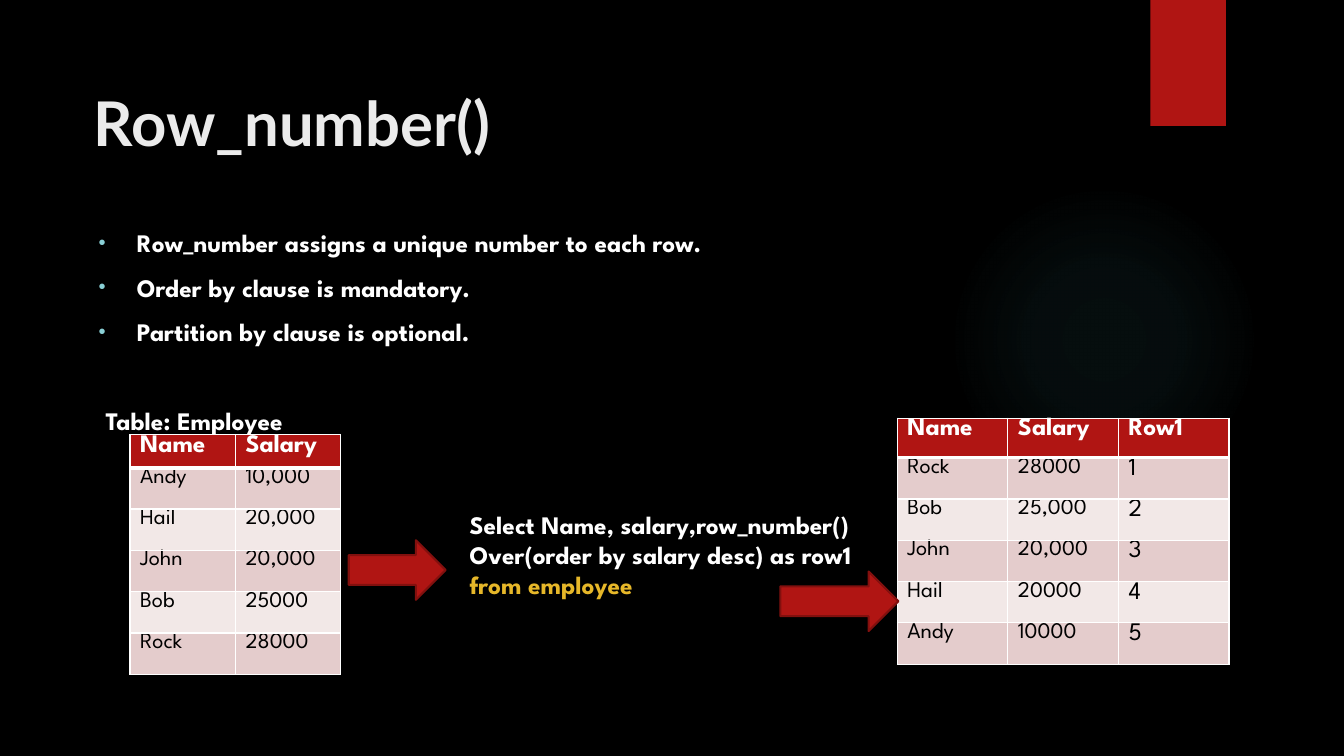
from dataclasses import dataclass

import pptx
import pptx.dml.color
import pptx.enum.shapes
import pptx.enum.text
import pptx.oxml
import pptx.oxml.ns
import pptx.util
from pptx.dml.color import RGBColor
from pptx.util import Inches, Pt

BLACK = RGBColor(0x00, 0x00, 0x00)
WHITE = RGBColor(0xFF, 0xFF, 0xFF)
PALE = RGBColor(0xEB, 0xEB, 0xEB)
RED = RGBColor(0xB0, 0x15, 0x13)
DARK = RGBColor(0x82, 0x10, 0x0E)
GOLD = RGBColor(0xE6, 0xB7, 0x29)
TEAL = RGBColor(0x50, 0xB9, 0xC1)
AQUA = RGBColor(0x8A, 0xD0, 0xD6)
BANDS = (RGBColor(0xE4, 0xCC, 0xCC), RGBColor(0xF2, 0xE8, 0xE7))

HEAD_FONT = "Lato"
BODY_FONT = "League Spartan"
SHAPE = pptx.enum.shapes.MSO_SHAPE
NS = pptx.oxml.ns.nsdecls("a")


@dataclass
class Box:
    left: float
    top: float
    width: float
    height: float

    def emus(self) -> tuple:
        return tuple(Inches(n) for n in (self.left, self.top, self.width, self.height))


@dataclass
class Grid:
    box: Box
    head: float
    rows: list[tuple[str, ...]]


ROW = 0.41
GRIDS = [
    Grid(Box(1.29, 4.31, 2.09, 2.38), 0.33, [
        ("Name", "Salary"),
        ("Andy", "10,000"),
        ("Hail", "20,000"),
        ("John", "20,000"),
        ("Bob", "25000"),
        ("Rock", "28000"),
    ]),
    Grid(Box(8.9, 4.15, 3.29, 2.43), 0.39, [
        ("Name", "Salary", "Row1"),
        ("Rock", "28000", "1"),
        ("Bob", "25,000", "2"),
        ("John", "20,000", "3"),
        ("Hail", "20000", "4"),
        ("Andy", "10000", "5"),
    ]),
]
ARROWS = [Box(3.46, 5.36, 0.96, 0.59), Box(7.74, 5.67, 1.17, 0.59)]
POINTS = [
    "Row_number assigns a unique number to each row.",
    "Order by clause is mandatory.",
    "Partition by clause is optional.",
]


def style(para, size: float, color: RGBColor, bold: bool = True, face: str = BODY_FONT) -> None:
    for run in para.runs:
        run.font.name = face
        run.font.size = Pt(size)
        run.font.bold = bold
        run.font.color.rgb = color


def add_solid(slide, kind, box: Box, edge: RGBColor | None = None):
    shape = slide.shapes.add_shape(kind, *box.emus())
    shape.shadow.inherit = False
    shape.fill.solid()
    shape.fill.fore_color.rgb = RED
    if edge is None:
        shape.line.fill.background()
    else:
        shape.line.color.rgb = edge
        shape.line.width = Pt(1.5)
    return shape


def add_glow(slide) -> None:
    glow = add_solid(slide, SHAPE.OVAL, Box(9.41, 1.83, 3.08, 3.08))
    stops = "".join(
        f'<a:gs pos="{pos * 1000}"><a:srgbClr val="{TEAL}">'
        f'<a:alpha val="{alpha * 1000}"/></a:srgbClr></a:gs>'
        for pos, alpha in ((0, 7), (36, 6), (69, 0), (100, 0))
    )
    fade = pptx.oxml.parse_xml(
        f'<a:gradFill {NS} rotWithShape="1"><a:gsLst>{stops}</a:gsLst><a:path path="circle">'
        '<a:fillToRect l="50000" t="50000" r="50000" b="50000"/></a:path></a:gradFill>'
    )
    props = glow.fill._xPr
    props.replace(props.find(pptx.oxml.ns.qn("a:solidFill")), fade)


def add_text(slide, box: Box, lines: list[str]):
    frame = slide.shapes.add_textbox(*box.emus()).text_frame
    frame.word_wrap = True
    frame.text = "\n".join(lines)
    for para in frame.paragraphs:
        style(para, 18, WHITE)
    return frame


def add_bullet(para) -> None:
    props = para._p.get_or_add_pPr()
    props.set("marL", str(Inches(0.38)))
    props.set("indent", str(Inches(-0.38)))
    for tag in (
        f'<a:buClr {NS}><a:srgbClr val="{AQUA}"/></a:buClr>',
        f'<a:buSzPct {NS} val="80000"/>',
        f'<a:buFont {NS} typeface="Arial"/>',
        f'<a:buChar {NS} char="•"/>',
    ):
        props.append(pptx.oxml.parse_xml(tag))


def add_edges(cell, base: float) -> None:
    """Rule the cell in white, with its bottom line base points wide."""
    props = cell._tc.get_or_add_tcPr()
    for spot, (side, width) in enumerate((("L", 1), ("R", 1), ("T", 1), ("B", base))):
        props.insert(spot, pptx.oxml.parse_xml(
            f'<a:ln{side} {NS} w="{Pt(width)}"><a:solidFill>'
            f'<a:srgbClr val="{WHITE}"/></a:solidFill></a:ln{side}>'
        ))


def add_grid(slide, grid: Grid) -> None:
    count = len(grid.rows[0])
    table = slide.shapes.add_table(len(grid.rows), count, *grid.box.emus()).table
    for col in table.columns:
        col.width = Inches(grid.box.width / count)
    for r, words in enumerate(grid.rows):
        top = r == 0
        table.rows[r].height = Inches(grid.head if top else ROW)
        for c, word in enumerate(words):
            cell = table.cell(r, c)
            cell.margin_top = cell.margin_bottom = 0
            cell.text = word
            size = 18 if top or c == 2 else 16
            style(cell.text_frame.paragraphs[0], size, WHITE if top else BLACK, top)
            cell.fill.solid()
            cell.fill.fore_color.rgb = RED if top else BANDS[(r - 1) % 2]
            add_edges(cell, 3 if top else 1)


def main() -> None:
    deck = pptx.Presentation()
    deck.slide_width, deck.slide_height = Inches(13.33), Inches(7.5)
    slide = deck.slides.add_slide(deck.slide_layouts[5])
    slide.background.fill.solid()
    slide.background.fill.fore_color.rgb = BLACK

    add_glow(slide)
    add_solid(slide, SHAPE.RECTANGLE, Box(11.41, 0, 0.75, 1.25))

    title = slide.shapes.title
    title.left, title.top, title.width, title.height = Box(0.83, 0.79, 10.91, 1.25).emus()
    title.text_frame.text = "Row_number()"
    title.text_frame.vertical_anchor = pptx.enum.text.MSO_ANCHOR.TOP
    para = title.text_frame.paragraphs[0]
    para.alignment = pptx.enum.text.PP_ALIGN.LEFT
    style(para, 44, PALE, face=HEAD_FONT)

    body = add_text(slide, Box(0.88, 2.21, 10.64, 4.7), POINTS + ["Table: Employee"])
    for para in body.paragraphs:
        para.space_before = Pt(10)
    for para in body.paragraphs[:-1]:
        add_bullet(para)
    label = body.paragraphs[-1]
    label.space_before = Pt(42)
    label._p.get_or_add_pPr().set("marL", str(Inches(0.07)))

    for grid in GRIDS:
        add_grid(slide, grid)
    query = add_text(slide, Box(4.56, 5, 4.14, 1.31), [
        "Select Name, salary,row_number() Over(order by salary desc) as row1",
        "from employee",
    ])
    style(query.paragraphs[1], 18, GOLD)
    for box in ARROWS:
        add_solid(slide, SHAPE.RIGHT_ARROW, box, DARK)

    deck.save("out.pptx")


if __name__ == "__main__":
    main()
